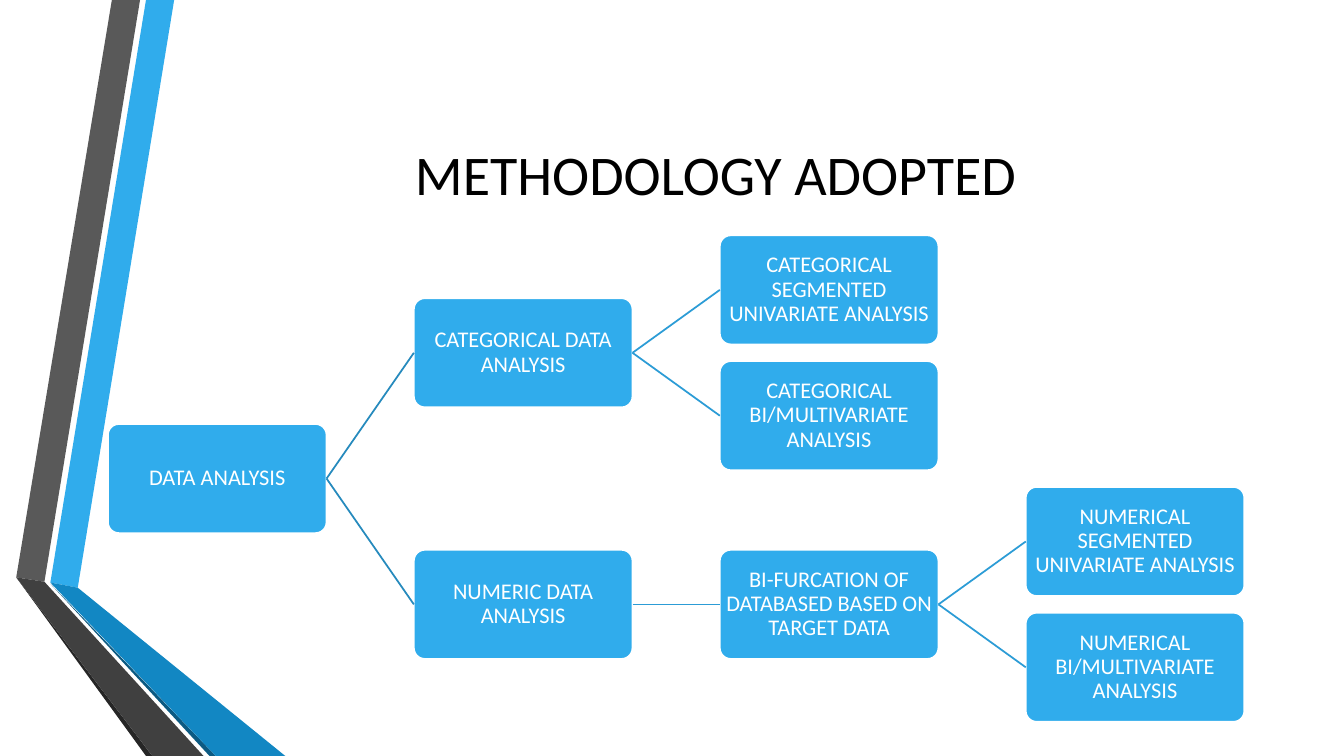
"""Build the methodology slide: a tree of analysis steps beside a folded ribbon."""
from lxml.etree import SubElement
from pptx import Presentation
from pptx.dml.color import RGBColor
from pptx.enum.shapes import MSO_CONNECTOR, MSO_SHAPE
from pptx.enum.text import MSO_ANCHOR, PP_ALIGN
from pptx.oxml.ns import qn
from pptx.util import Cm, Pt

BLACK = RGBColor(0x00, 0x00, 0x00)
WHITE = RGBColor(0xFF, 0xFF, 0xFF)
BLUE = RGBColor(0x30, 0xAC, 0xEC)
MID_BLUE = RGBColor(0x12, 0x87, 0xC3)
DARK_BLUE = RGBColor(0x0C, 0x5A, 0x82)
GREY = RGBColor(0x59, 0x59, 0x59)
DARK_GREY = RGBColor(0x40, 0x40, 0x40)
DEEP_GREY = RGBColor(0x26, 0x26, 0x26)
ROOT_LINE = RGBColor(0x26, 0x8A, 0xBD)
BRANCH_LINE = RGBColor(0x2C, 0x9C, 0xD6)

LEFT, TOP = 2.72, 5.93
BOX_W, BOX_H = 5.51, 2.75
COL_STEP, ROW_STEP = 7.71, 3.17

prs = Presentation()
prs.slide_width, prs.slide_height = Cm(33.87), Cm(19.05)
s = prs.slides.add_slide(prs.slide_layouts[5])

ribbon = [
    (BLUE, [(1.27, 14.68), (1.96, 14.81), (4.39, 0), (3.68, 0)]),
    (GREY, [(3.53, 0), (2.82, 0), (0.41, 14.55), (1.12, 14.66)]),
    (DEEP_GREY, [(0.41, 14.55), (3.68, 19.05), (3.84, 19.05)]),
    (DARK_BLUE, [(1.27, 14.71), (5.28, 19.05), (5.44, 19.05)]),
    (MID_BLUE, [(1.27, 14.68), (5.44, 19.05), (7.19, 19.05), (1.96, 14.81)]),
    (DARK_GREY, [(5.13, 19.05), (1.12, 14.66), (0.41, 14.55), (3.84, 19.05)]),
]
for color, points in ribbon:
    corners = [(Cm(x), Cm(y)) for x, y in points]
    fb = s.shapes.build_freeform(*corners[0])
    fb.add_line_segments(corners[1:], close=True)
    sp = fb.convert_to_shape()
    sp.shadow.inherit = False
    sp.fill.solid()
    sp.fill.fore_color.rgb = color
    sp.line.fill.background()

title = s.shapes.title
title.left, title.top, title.width, title.height = Cm(4.11), Cm(1.91), Cm(27.84), Cm(4.88)
tf = title.text_frame
tf.text = "METHODOLOGY ADOPTED"
tf.vertical_anchor = MSO_ANCHOR.MIDDLE
p = tf.paragraphs[0]
p.alignment = PP_ALIGN.CENTER
p.font.name, p.font.size = "Calibri", Pt(40)
p.font.color.rgb = BLACK

# name: (column, row, parent, text)
steps = {
    "root": (0, 1.5, None, "DATA ANALYSIS"),
    "cat": (1, 0.5, "root", "CATEGORICAL DATA ANALYSIS"),
    "cat_uni": (2, 0, "cat", "CATEGORICAL SEGMENTED UNIVARIATE ANALYSIS"),
    "cat_multi": (2, 1, "cat", "CATEGORICAL BI/MULTIVARIATE ANALYSIS"),
    "num": (1, 2.5, "root", "NUMERIC DATA ANALYSIS"),
    "split": (2, 2.5, "num", "BI-FURCATION OF DATABASED BASED ON TARGET DATA"),
    "num_uni": (3, 2, "split", "NUMERICAL SEGMENTED UNIVARIATE ANALYSIS"),
    "num_multi": (3, 3, "split", "NUMERICAL BI/MULTIVARIATE ANALYSIS"),
}
boxes = {}
for name, (col, row, parent, text) in steps.items():
    sp = s.shapes.add_shape(MSO_SHAPE.ROUNDED_RECTANGLE, Cm(LEFT + col * COL_STEP),
                            Cm(TOP + row * ROW_STEP), Cm(BOX_W), Cm(BOX_H))
    boxes[name] = sp
    sp.adjustments[0] = 0.1
    sp.shadow.inherit = False
    sp.fill.solid()
    sp.fill.fore_color.rgb = BLUE
    sp.line.color.rgb = WHITE
    sp.line.width = Pt(1.25)
    tf = sp.text_frame
    tf.word_wrap = True
    tf.vertical_anchor = MSO_ANCHOR.MIDDLE
    tf.margin_left = tf.margin_right = tf.margin_top = tf.margin_bottom = Cm(0.03)
    tf.text = text
    p = tf.paragraphs[0]
    p.alignment = PP_ALIGN.CENTER
    p.line_spacing = 0.9
    p.font.name, p.font.size = "Calibri", Pt(16)
    p.font.color.rgb = WHITE

    if parent:
        link = s.shapes.add_connector(MSO_CONNECTOR.STRAIGHT, 0, 0, 0, 0)
        link.begin_connect(boxes[parent], 3)
        link.end_connect(sp, 1)
        link.line.color.rgb = ROOT_LINE if parent == "root" else BRANCH_LINE
        link.line.width = Pt(1.25)
        SubElement(link._element.spPr, qn("a:effectLst"))

prs.save("out.pptx")
